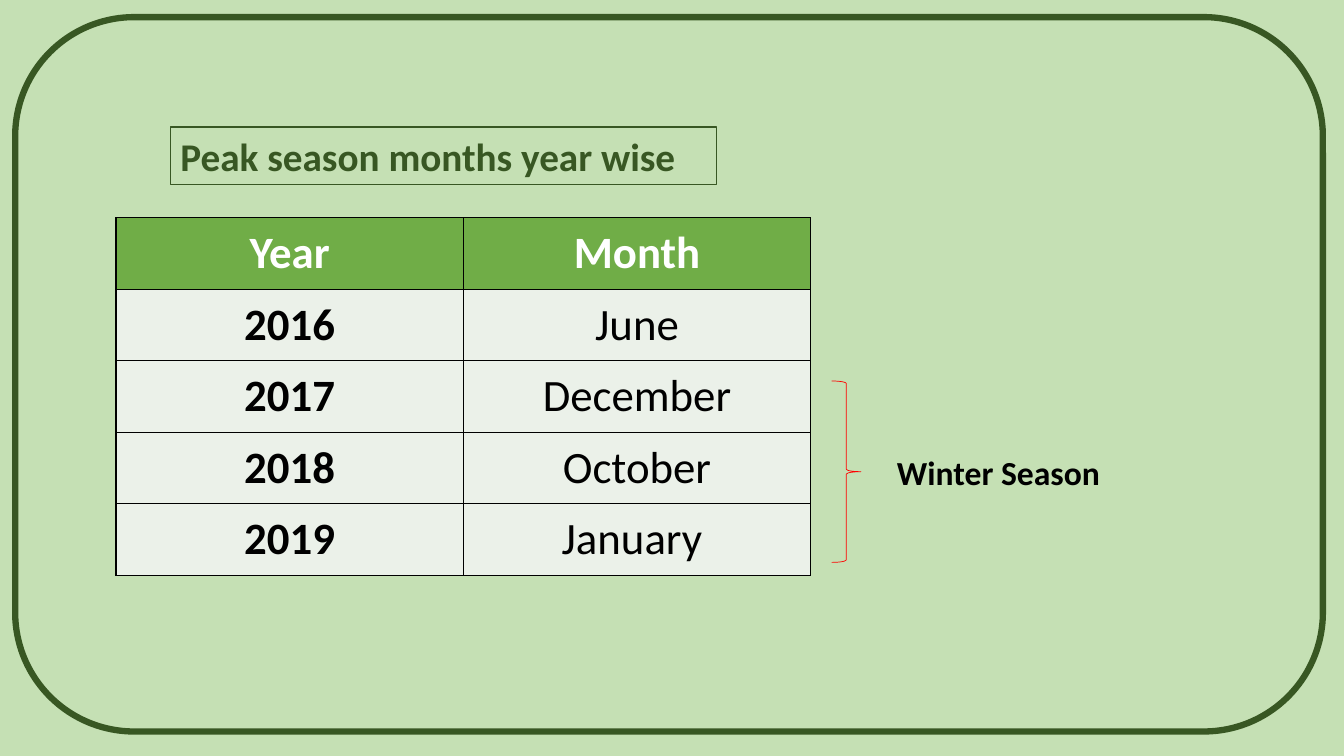
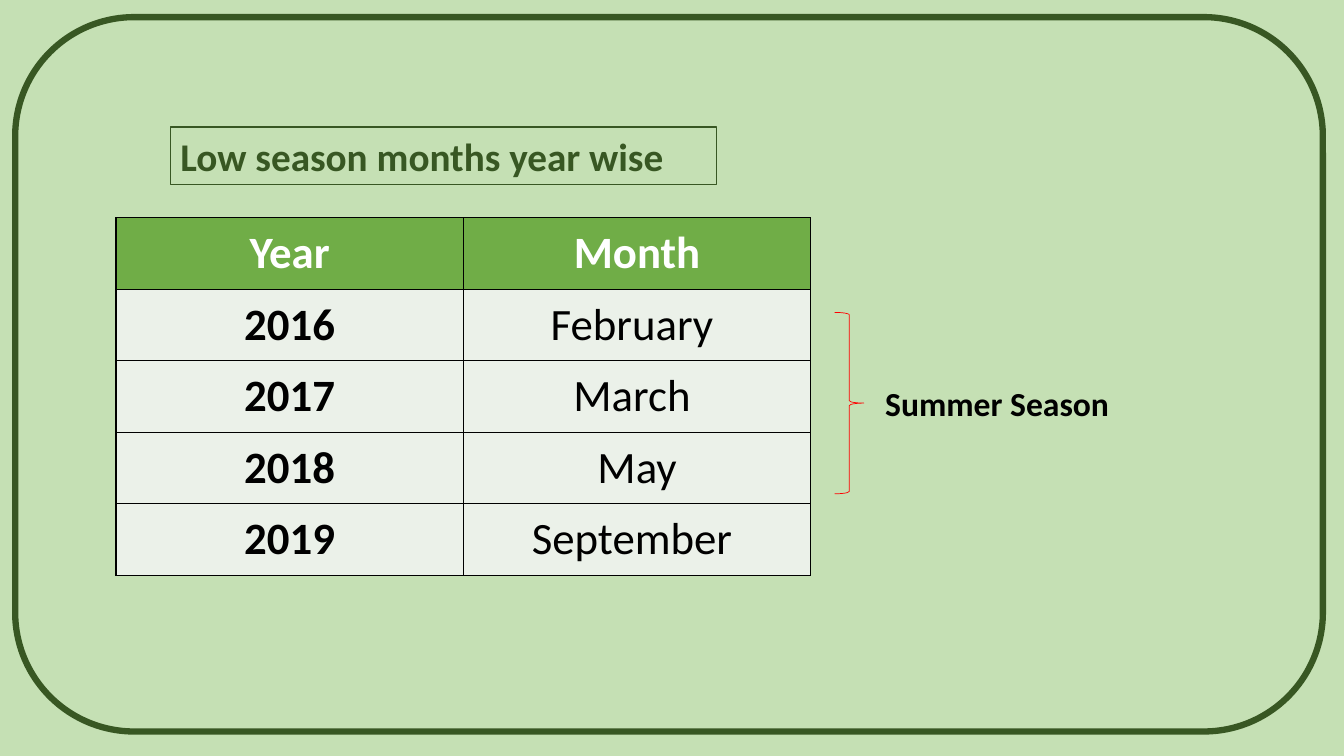
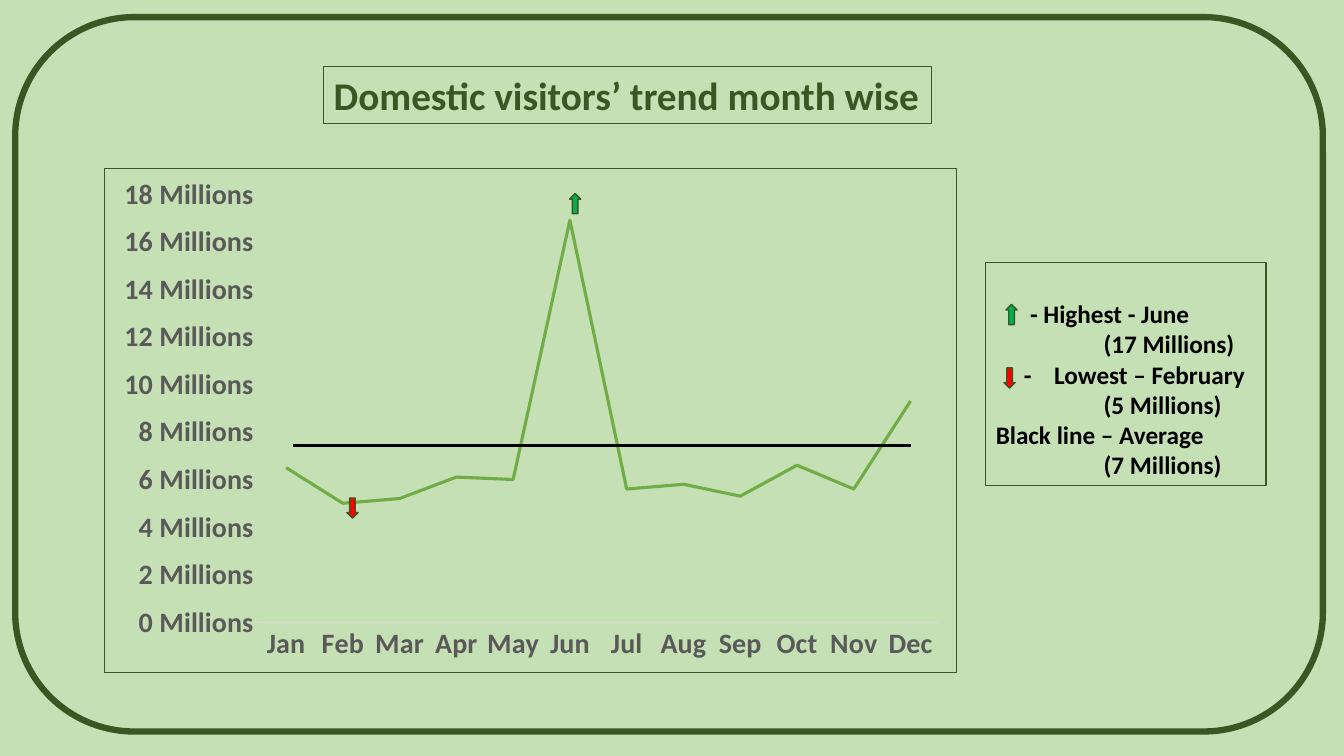
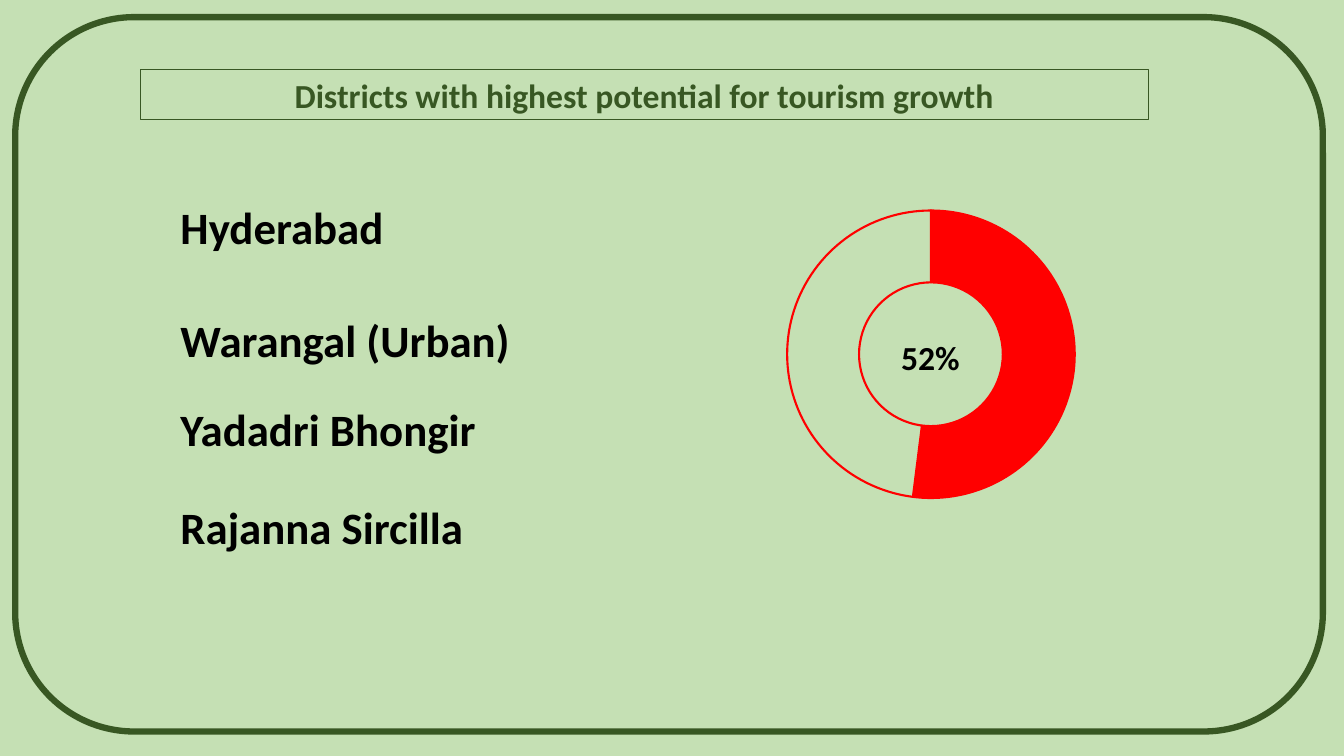
from dataclasses import dataclass

from lxml import etree
from pptx import Presentation
from pptx.chart.data import CategoryChartData
from pptx.dml.color import RGBColor
from pptx.enum.chart import XL_CHART_TYPE, XL_TICK_MARK
from pptx.enum.shapes import MSO_CONNECTOR, MSO_SHAPE
from pptx.enum.text import MSO_ANCHOR, MSO_AUTO_SIZE, PP_ALIGN
from pptx.oxml import parse_xml
from pptx.oxml.ns import nsdecls, qn
from pptx.util import Inches, Pt

LINE_CHART, DOUGHNUT = XL_CHART_TYPE.LINE, XL_CHART_TYPE.DOUGHNUT
NO_TICK = XL_TICK_MARK.NONE
STRAIGHT = MSO_CONNECTOR.STRAIGHT
FRAME, PANEL = MSO_SHAPE.ROUNDED_RECTANGLE, MSO_SHAPE.RECTANGLE
BRACE, ARROW = MSO_SHAPE.RIGHT_BRACE, MSO_SHAPE.UP_ARROW
TOP, MIDDLE = MSO_ANCHOR.TOP, MSO_ANCHOR.MIDDLE
LEFT, CENTER = PP_ALIGN.LEFT, PP_ALIGN.CENTER
FIXED = MSO_AUTO_SIZE.NONE

PALE_GREEN = RGBColor(0xC5, 0xE0, 0xB4)
DARK_GREEN = RGBColor(0x38, 0x57, 0x23)
LEAF_GREEN = RGBColor(0x70, 0xAD, 0x47)
CELL_GREEN = RGBColor(0xEB, 0xF1, 0xE9)
RISE_GREEN = RGBColor(0x00, 0xB0, 0x50)
RED = RGBColor(0xFF, 0x00, 0x00)
BLACK = RGBColor(0x00, 0x00, 0x00)
WHITE = RGBColor(0xFF, 0xFF, 0xFF)
AXIS_TEXT = RGBColor(0x59, 0x59, 0x59)
AXIS_LINE = RGBColor(0xD9, 0xD9, 0xD9)

BOLD = {"name": "Calibri", "bold": True}
REGULAR = {"name": "Calibri", "bold": False}
FIXED_TEXT = {"word_wrap": True, "auto_size": FIXED, "vertical_anchor": TOP}
TITLE_ONLY, TITLE_AND_BODY = 5, 1


@dataclass
class Box:
    """An area whose shares are given in percent of its width and height."""
    left: int
    top: int
    width: int
    height: int

    def share(self, x, y, w, h):
        return Box(int(self.left + self.width * x / 100),
                   int(self.top + self.height * y / 100),
                   int(self.width * w / 100), int(self.height * h / 100))

    @property
    def at(self):
        return self.left, self.top, self.width, self.height


SLIDE = Box(0, 0, Inches(13.33), Inches(7.5))
MARKER = SLIDE.share(0, 0, 0.83, 2.67)


# Formatting shared by all slides
def set_all(target, values):
    for name, value in values.items():
        setattr(target, name, value)


def style_font(font, size, color, values=BOLD):
    set_all(font, {**values, "size": Pt(size)})
    font.color.rgb = color


def style_line(line, color, width):
    line.color.rgb = color
    line.width = Pt(width)


def add_outline(shapes, kind, box, color, width, fill=None):
    shape = shapes.add_shape(kind, *box.at)
    shape.shadow.inherit = False
    if fill is None:
        shape.fill.background()
    else:
        shape.fill.solid()
        shape.fill.fore_color.rgb = fill
    style_line(shape.line, color, width)
    return shape


def place(placeholder, box):
    set_all(placeholder, dict(zip(("left", "top", "width", "height"), box.at)))
    set_all(placeholder.text_frame, FIXED_TEXT)


def write_line(paragraph, text, size, color=BLACK, align=LEFT):
    paragraph.alignment = align
    run = paragraph.add_run()
    run.text = text
    style_font(run.font, size, color)


def add_label(shapes, box, text, size):
    frame = shapes.add_textbox(*box.at).text_frame
    set_all(frame, FIXED_TEXT)
    write_line(frame.paragraphs[0], text, size)


def add_marker(shapes, box, x, y, rising):
    spot = box.share(x, y, 0, 0)
    spot.width, spot.height = MARKER.width, MARKER.height
    arrow = add_outline(shapes, ARROW, spot, DARK_GREEN, 1, RISE_GREEN if rising else RED)
    arrow.rotation = 0 if rising else 180


def start_slide(deck, layout, title_box, title, size=28, align=LEFT):
    slide = deck.slides.add_slide(deck.slide_layouts[layout])
    add_outline(slide.shapes, FRAME, SLIDE.share(1.13, 2.27, 97.3, 94.5), DARK_GREEN, 4.5)
    heading = slide.shapes.title
    place(heading, title_box)
    style_line(heading.line, DARK_GREEN, 0.75)
    write_line(heading.text_frame.paragraphs[0], title, size, DARK_GREEN, align)
    return slide


# Month table and season note
def border_cell(cell):
    properties = cell._tc.get_or_add_tcPr()
    for side in ("lnL", "lnR", "lnT", "lnB"):
        properties.append(parse_xml(
            f'<a:{side} {nsdecls("a")} w="{Pt(1)}"><a:solidFill>'
            f'<a:srgbClr val="{BLACK}"/></a:solidFill></a:{side}>'))


def add_month_table(slide, box, rows):
    table = slide.shapes.add_table(len(rows), 2, *box.at).table
    for r, row in enumerate(rows):
        for c, text in enumerate(row):
            header = r == 0
            cell = table.cell(r, c)
            cell.vertical_anchor = MIDDLE
            border_cell(cell)
            cell.fill.solid()
            cell.fill.fore_color.rgb = LEAF_GREEN if header else CELL_GREEN
            cell.text = text
            paragraph = cell.text_frame.paragraphs[0]
            paragraph.alignment = CENTER
            style_font(paragraph.runs[0].font, 32, WHITE if header else BLACK,
                       BOLD if header or c == 0 else REGULAR)


def add_season_note(slide, box, season):
    note = slide.shapes.add_group_shape().shapes
    brace = box.share(0, 0, 100, 100)
    brace.width = Inches(0.29)
    add_outline(note, BRACE, brace, RED, 0.5)
    label = box.share(0, 36.11, 100, 27.78)
    label.width = Inches(2.49)
    label.left = box.left + box.width - label.width
    add_label(note, label, season, 24)


def months_slide(deck, title, months, season, note_box):
    slide = start_slide(deck, TITLE_ONLY, SLIDE.share(12.68, 16.8, 40.65, 7.6), title)
    years = ("2016", "2017", "2018", "2019")
    add_month_table(slide, SLIDE.share(8.63, 28.8, 51.7, 47.3),
                    [("Year", "Month"), *zip(years, months)])
    add_season_note(slide, note_box, season)


# Charts
def add_plain_chart(slide, kind, box, names, values, plot_share):
    data = CategoryChartData()
    data.categories = names
    data.add_series("Series 1", values)
    chart = slide.shapes.add_chart(kind, *box.at, data).chart
    set_all(chart, {"has_legend": False, "has_title": False})
    style_font(chart.font, 10, BLACK, REGULAR)
    area = chart._chartSpace.chart.plotArea
    for layout in area.findall(qn("c:layout")):
        area.remove(layout)
    layout = etree.Element(qn("c:layout"))
    manual = etree.SubElement(layout, qn("c:manualLayout"))
    settings = [("layoutTarget", "inner"), ("xMode", "edge"), ("yMode", "edge"),
                *zip("xywh", plot_share)]
    for name, value in settings:
        etree.SubElement(manual, qn(f"c:{name}")).set("val", str(value))
    area.insert(0, layout)
    return chart


def frame_chart(chart, outline):
    text = chart._chartSpace.find(qn("c:txPr"))
    text.addprevious(parse_xml(
        f'<c:spPr {nsdecls("c", "a")}><a:noFill/>{outline}</c:spPr>'))


def add_visitor_chart(slide, box):
    months = ("Jan", "Feb", "Mar", "Apr", "May", "Jun",
              "Jul", "Aug", "Sep", "Oct", "Nov", "Dec")
    millions = (6.5, 5, 5.2, 6.1, 6, 16.9, 5.6, 5.8, 5.3, 6.6, 5.6, 9.3)
    chart = add_plain_chart(slide, LINE_CHART, box, months,
                            [round(m * 1_000_000) for m in millions],
                            (0.18, 0.05, 0.8, 0.85))
    frame_chart(chart, f'<a:ln w="{Pt(0.75)}"><a:solidFill>'
                       f'<a:srgbClr val="{DARK_GREEN}"/></a:solidFill></a:ln>')
    plot = chart.plots[0]
    plot.vary_by_categories = False
    visitors = plot.series[0]
    visitors.smooth = False
    style_line(visitors.format.line, LEAF_GREEN, 2.25)
    for axis in (chart.category_axis, chart.value_axis):
        set_all(axis, {"has_major_gridlines": False, "major_tick_mark": NO_TICK,
                       "minor_tick_mark": NO_TICK})
        style_font(axis.tick_labels.font, 20, AXIS_TEXT)
    style_line(chart.category_axis.format.line, AXIS_LINE, 0.75)
    chart.value_axis.format.line.fill.background()
    set_all(chart.value_axis, {"minimum_scale": 0, "maximum_scale": 18_000_000,
                               "major_unit": 2_000_000})
    set_all(chart.value_axis.tick_labels, {"number_format": '0,,\\ "Millions"',
                                           "number_format_is_linked": False})

    # Average line and extremes
    average = box.share(22.22, 54.89, 72.46, 0)
    line = slide.shapes.add_connector(STRAIGHT, average.left, average.top,
                                      average.left + average.width, average.top)
    style_line(line.line, BLACK, 2.25)
    etree.SubElement(line._element.spPr, qn("a:effectLst"))
    add_marker(slide.shapes, box, 54.61, 4.99, True)
    add_marker(slide.shapes, box, 28.49, 65.27, False)


def add_visitor_key(slide, box):
    key = slide.shapes.add_group_shape().shapes
    frame = add_outline(key, PANEL, box, DARK_GREEN, 0.75).text_frame
    set_all(frame, {**FIXED_TEXT, "margin_top": Inches(0.36)})
    # Each line comes with its tab stops in inches
    lines = (("\t- Highest - June", (0.34,)), ("\t(17 Millions)", (1.07,)),
             ("\t-\tLowest – February", (0.28, 0.58)), ("\t(5 Millions)", (1.07,)),
             ("Black line – Average", ()), ("\t(7 Millions)", (1.07,)))
    for i, (text, stops) in enumerate(lines):
        paragraph = frame.add_paragraph() if i else frame.paragraphs[0]
        write_line(paragraph, text, 18)
        if stops:
            tabs = etree.SubElement(paragraph._p.get_or_add_pPr(), qn("a:tabLst"))
            for stop in stops:
                etree.SubElement(tabs, qn("a:tab"), pos=str(Inches(stop)), algn="l")
    add_marker(key, box, 7.19, 18.92, True)
    add_marker(key, box, 6.47, 47.3, False)


def trend_slide(deck):
    slide = start_slide(deck, TITLE_ONLY, SLIDE.share(24.08, 8.8, 45.2, 7.6),
                        "Domestic visitors’ trend month wise")
    add_visitor_chart(slide, SLIDE.share(7.73, 22.27, 63.45, 66.8))
    add_visitor_key(slide, SLIDE.share(73.35, 34.67, 20.85, 29.6))


# Districts and growth ring
def fill_district_list(body, box):
    place(body, box)
    districts = (("Hyderabad", 0), ("Warangal (Urban)", 42.3),
                 ("Yadadri Bhongir", 25), ("Rajanna Sircilla", 32.2))
    for i, (district, gap) in enumerate(districts):
        paragraph = body.text_frame.add_paragraph() if i else body.text_frame.paragraphs[0]
        write_line(paragraph, district, 32)
        paragraph.space_before = Pt(gap)
        properties = paragraph._p.get_or_add_pPr()
        properties.set("marL", "0")
        properties.set("indent", "0")
        etree.SubElement(properties, qn("a:buNone"))


def add_growth_ring(slide, box):
    chart = add_plain_chart(slide, DOUGHNUT, box, ("1", "2"), (52, 48),
                            (0.04, 0.05, 0.92, 0.9))
    frame_chart(chart, "<a:ln><a:noFill/></a:ln>")
    chart.plots[0].vary_by_categories = True
    for i, color in enumerate((RED, PALE_GREEN)):
        sector = chart.plots[0].series[0].points[i].format
        sector.fill.solid()
        sector.fill.fore_color.rgb = color
        style_line(sector.line, RED, 1.5)
    add_label(slide.shapes, box.share(37.38, 42.9, 25.56, 15.77), "52%", 24)


def districts_slide(deck):
    slide = start_slide(deck, TITLE_AND_BODY, SLIDE.share(10.43, 9.2, 75, 6.67),
                        "Districts with highest potential for tourism growth", 24, CENTER)
    fill_district_list(slide.placeholders[1], SLIDE.share(12.68, 25.73, 27.45, 48.7))
    add_growth_ring(slide, SLIDE.share(57.53, 25.73, 23.48, 42.27))


def main():
    deck = Presentation()
    deck.slide_width, deck.slide_height = SLIDE.width, SLIDE.height
    background = deck.slide_master.background.fill
    background.solid()
    background.fore_color.rgb = PALE_GREEN

    months_slide(deck, "Peak season months year wise",
                 ("June", "December", "October", "January "),
                 "Winter Season", SLIDE.share(61.88, 50.4, 22.8, 24))
    months_slide(deck, "Low season months year wise",
                 ("February ", "March ", "May", "September "),
                 "Summer Season", SLIDE.share(62.1, 41.33, 21.7, 24))
    trend_slide(deck)
    districts_slide(deck)
    deck.save("out.pptx")


if __name__ == "__main__":
    main()
